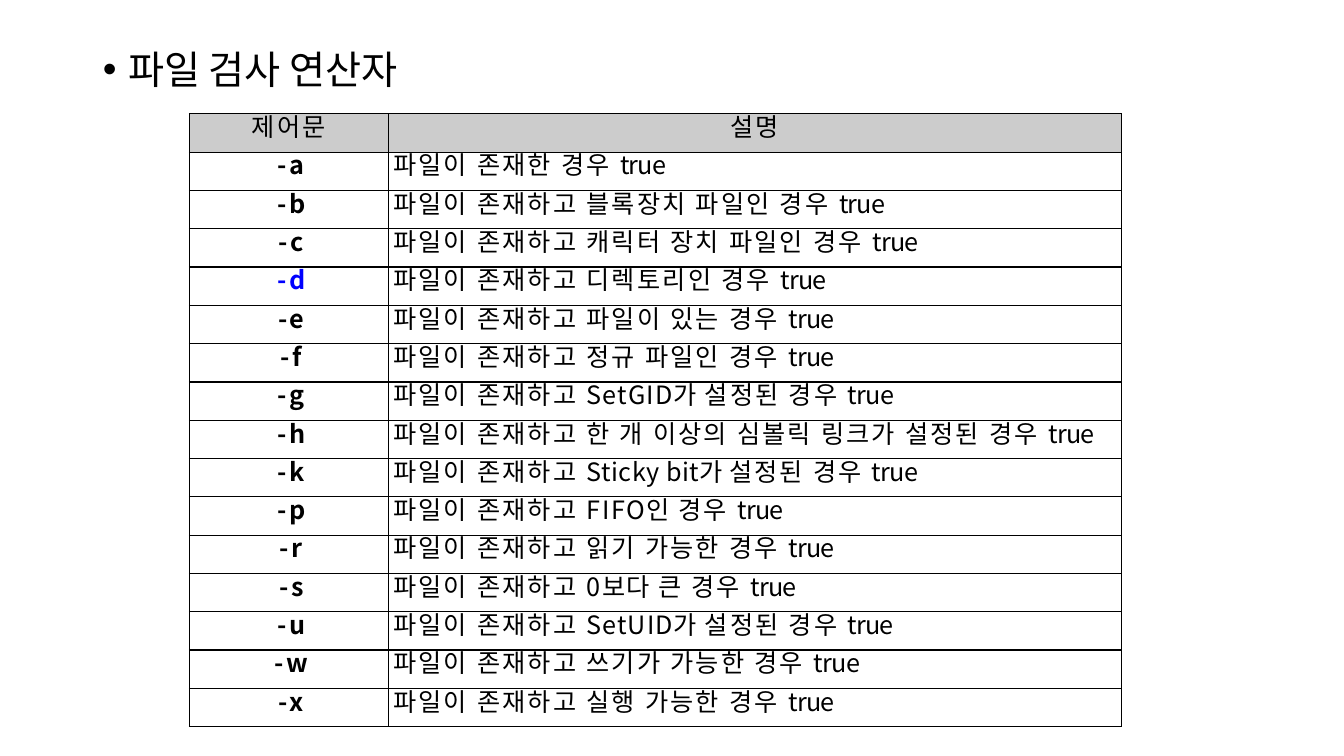
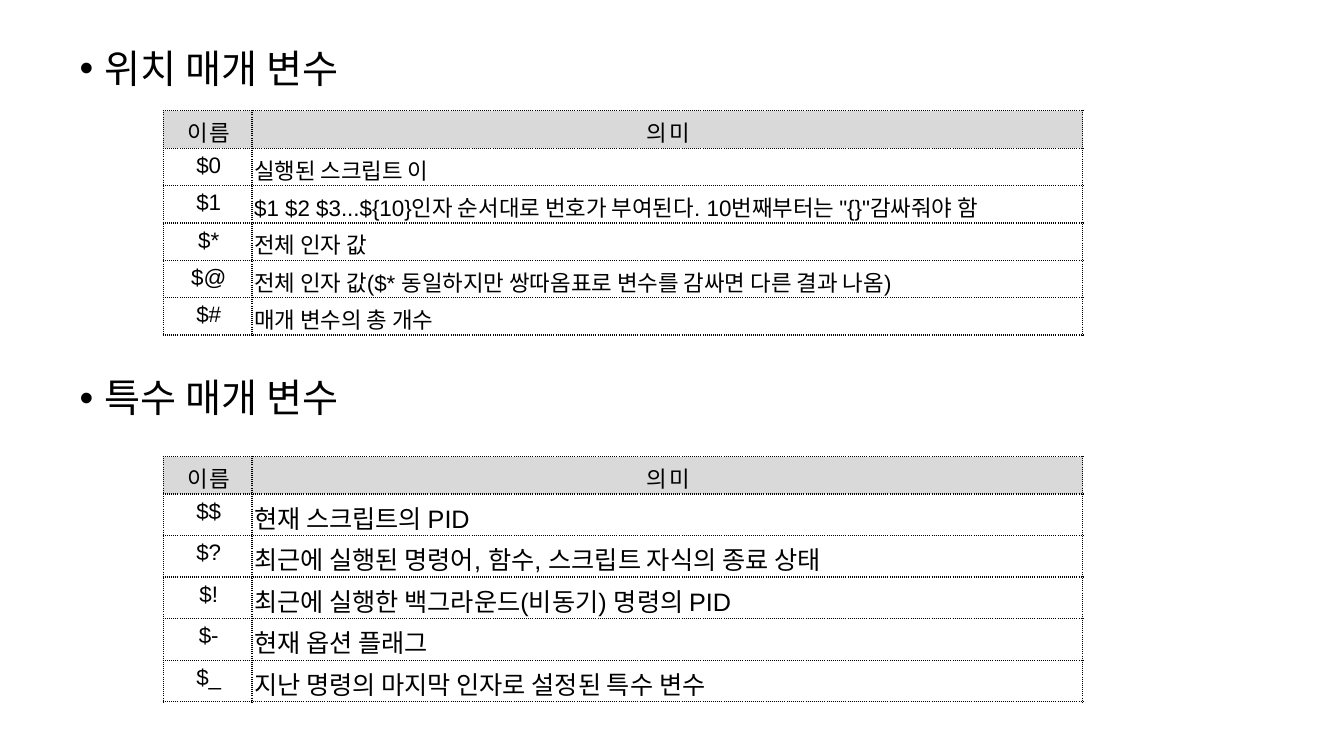
from dataclasses import dataclass

from lxml import etree
from pptx import Presentation
from pptx import util as u
from pptx.dml.color import RGBColor
from pptx.enum import text
from pptx.oxml import ns


@dataclass(frozen=True)
class Theme:
    ink: str = "000000"
    accent: str = "0000FF"
    paper: str = "FFFFFF"
    header_dark: str = "CCCCCC"
    header_light: str = "D9D9D9"
    korean: str = "Noto Sans CJK KR"
    latin: str = "Arial"
    heading_size: int = 28
    large: int = 18
    medium: int = 16


THEME = Theme()
CENTER, LEFT = text.PP_ALIGN.CENTER, text.PP_ALIGN.LEFT

# Content: an operator's description is a list of (text, letter spacing) spans
WIDE, TIGHT, KEY = 1.6, -0.5, 1.8
EXISTS = ("파일이 존재하고 ", WIDE)
TRUE = ("true", TIGHT)
OPERATORS = [
    ("-a", [("파일이 존재한 경우 ", WIDE)]),
    ("-b", [EXISTS, ("블록장치 파일인 경우 ", WIDE)]),
    ("-c", [EXISTS, ("캐릭터 장치 파일인 경우 ", WIDE)]),
    ("-d", [EXISTS, ("디렉토리인 경우 ", WIDE)]),
    ("-e", [EXISTS, ("파일이 있는 경우 ", WIDE)]),
    ("-f", [EXISTS, ("정규 파일인 경우 ", WIDE)]),
    ("-g", [EXISTS, ("SetGID가 ", 0.8), ("설정된 경우 ", WIDE)]),
    ("-h", [EXISTS, ("한 개 이상의 심볼릭 링크가 설정된 경우 ", WIDE)]),
    ("-k", [EXISTS, ("Sticky bit가 ", 0.3), ("설정된 경우 ", WIDE)]),
    ("-p", [EXISTS, ("FIFO인 ", 1.1), ("경우 ", WIDE)]),
    ("-r", [EXISTS, ("읽기 가능한 경우 ", WIDE)]),
    ("-s", [EXISTS, ("0보다 ", 1), ("큰 경우 ", WIDE)]),
    ("-u", [EXISTS, ("SetUID가 ", 0.7), ("설정된 경우 ", WIDE)]),
    ("-w", [EXISTS, ("쓰기가 가능한 경우 ", WIDE)]),
    ("-x", [EXISTS, ("실행 가능한 경우 ", WIDE)]),
]
HIGHLIGHTED = "-d"

POSITIONAL = [
    ("$0", "실행된 스크립트 이"),
    ("$1", '$1 $2 $3...${10}인자 순서대로 번호가 부여된다. 10번째부터는 "{}"감싸줘야 함'),
    ("$*", "전체 인자 값"),
    ("$@", "전체 인자 값($* 동일하지만 쌍따옴표로 변수를 감싸면 다른 결과 나옴)"),
    ("$#", "매개 변수의 총 개수"),
]
SPECIAL = [
    ("$$", "현재 스크립트의 PID"),
    ("$?", "최근에 실행된 명령어, 함수, 스크립트 자식의 종료 상태"),
    ("$!", "최근에 실행한 백그라운드(비동기) 명령의 PID"),
    ("$-", "현재 옵션 플래그"),
    ("$_", "지난 명령의 마지막 인자로 설정된 특수 변수"),
]
# Table top, description size and rows
PARAMETER_TABLES = [(1.1, THEME.medium, POSITIONAL), (4.53, THEME.large, SPECIAL)]

# Each heading has its own space before, in points
OPERATOR_HEADINGS = [("파일 검사 연산자", 10)]
PARAMETER_HEADINGS = [("위치 매개 변수", 10), ("특수 매개 변수", 205)]


def apply(target, formats):
    for name, value in formats.items():
        setattr(target, name, value)


def add_span(para, words, size, font, color=THEME.ink, bold=False, spacing=0):
    span = para.add_run()
    span.text = words
    apply(span.font, {"size": u.Pt(size), "bold": bold})
    span.font.color.rgb = RGBColor.from_string(color)
    span.font.name = font
    properties = span.font._element
    properties.set("spc", str(round(spacing * 100)))
    east_asian = etree.SubElement(properties, ns.qn("a:ea"))
    east_asian.set("typeface", THEME.korean)


def set_indent(para, margin, first_line=0):
    properties = para._p.get_or_add_pPr()
    properties.set("marL", str(u.Inches(margin)))
    properties.set("indent", str(u.Inches(first_line)))


def add_page(deck, headings, left, top, height):
    page = deck.slides.add_slide(deck.slide_layouts[1])
    title = page.shapes.title._element
    title.getparent().remove(title)
    body = page.placeholders[1]
    apply(body, {"left": u.Inches(left), "top": u.Inches(top),
                 "width": u.Inches(11.5), "height": u.Inches(height)})
    frame = body.text_frame
    apply(frame, {"auto_size": text.MSO_AUTO_SIZE.NONE, "word_wrap": True,
                  "vertical_anchor": text.MSO_ANCHOR.TOP})
    for index, (words, before) in enumerate(headings):
        para = frame.add_paragraph() if index else frame.paragraphs[0]
        apply(para, {"line_spacing": 0.9, "space_before": u.Pt(before)})
        set_indent(para, 0.25, -0.25)
        add_span(para, words, THEME.heading_size, THEME.korean)
    return page


def set_borders(cell, dash):
    properties = cell._tc.get_or_add_tcPr()
    for index, side in enumerate(("lnL", "lnR", "lnT", "lnB")):
        line = etree.Element(ns.qn(f"a:{side}"), w=str(u.Pt(1)))
        fill = etree.SubElement(line, ns.qn("a:solidFill"))
        etree.SubElement(fill, ns.qn("a:srgbClr"), val=THEME.ink)
        etree.SubElement(line, ns.qn("a:prstDash"), val=dash)
        properties.insert(index, line)


def add_grid(page, left, top, widths, row_height, row_count, dash, header_fill):
    """Add a bordered table whose first row is the shaded header."""
    frame = page.shapes.add_table(
        row_count, len(widths), u.Inches(left), u.Inches(top),
        u.Inches(sum(widths)), u.Inches(row_height * row_count))
    table = frame.table
    apply(table, {"first_row": False, "horz_banding": False})
    for column, width in zip(table.columns, widths):
        column.width = u.Inches(width)
    for index, row in enumerate(table.rows):
        row.height = u.Inches(row_height)
        for cell in row.cells:
            cell.fill.solid()
            cell.fill.fore_color.rgb = RGBColor.from_string(
                THEME.paper if index else header_fill)
            set_borders(cell, dash)
    return table


def fill_cell(cell, spans, formats, inset_top=0, indent=0):
    """Write spans, each a dict of add_span arguments, into one cell."""
    apply(cell, {"margin_left": 0, "margin_right": 0, "margin_bottom": 0,
                 "margin_top": u.Inches(inset_top)})
    para = cell.text_frame.paragraphs[0]
    apply(para, formats)
    set_indent(para, indent)
    for span in spans:
        add_span(para, **span)


def add_operator_table(page):
    table = add_grid(page, 1.88, 1.13, (1.97, 7.27), 0.38,
                     len(OPERATORS) + 1, "solid", THEME.header_dark)
    base = {"size": THEME.large, "font": THEME.korean}
    exact = {"line_spacing": u.Pt(21.4)}
    for column, words in enumerate(("제어문", "설명")):
        fill_cell(table.cell(0, column), [{**base, "words": words, "spacing": WIDE}],
                  {**exact, "alignment": CENTER})
    for row, (key, parts) in enumerate(OPERATORS, 1):
        color = THEME.accent if key == HIGHLIGHTED else THEME.ink
        key_span = {**base, "words": key, "spacing": KEY, "bold": True, "color": color}
        spans = [{**base, "words": words, "spacing": spacing}
                 for words, spacing in [*parts, TRUE]]
        fill_cell(table.cell(row, 0), [key_span],
                  {**exact, "alignment": CENTER}, indent=0.05)
        fill_cell(table.cell(row, 1), spans,
                  {**exact, "alignment": LEFT}, indent=0.05)


def add_parameter_table(page, top, size, rows):
    table = add_grid(page, 1.62, top, (0.88, 8.24), 0.37,
                     len(rows) + 1, "sysDot", THEME.header_light)
    # Header and body rows differ only in alignment, size and letter spacing
    for row, cells in enumerate([("이름", "의미"), *rows]):
        for column, words in enumerate(cells):
            description = row > 0 and column == 1
            span = {"words": words, "font": THEME.latin,
                    "size": size if description else THEME.medium,
                    "spacing": 0 if row else 1.4}
            fill_cell(table.cell(row, column), [span],
                      {"alignment": LEFT if description else CENTER,
                       "space_before": u.Pt(3.3)},
                      inset_top=0.05, indent=0.02)


def main():
    deck = Presentation()
    apply(deck, {"slide_width": u.Inches(13.33), "slide_height": u.Inches(7.5)})

    # File test operators
    page = add_page(deck, OPERATOR_HEADINGS, 0.92, 0.45, 6.31)
    add_operator_table(page)

    # Positional and special parameters
    page = add_page(deck, PARAMETER_HEADINGS, 0.69, 0.44, 5.33)
    for top, size, rows in PARAMETER_TABLES:
        add_parameter_table(page, top, size, rows)

    deck.save("out.pptx")


if __name__ == "__main__":
    main()
